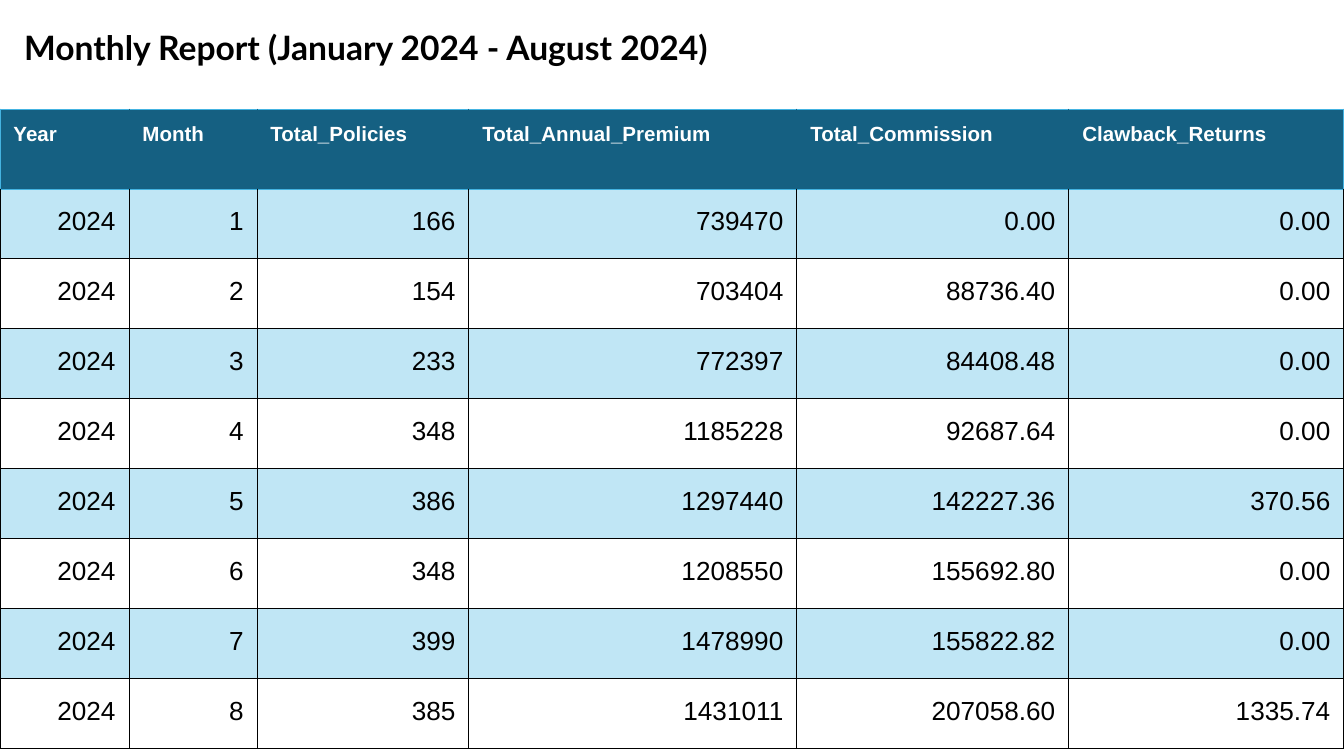
"""Build the monthly report slide with its title and table."""
from lxml import etree
from pptx import Presentation
from pptx import util as u
from pptx.dml.color import RGBColor
from pptx.enum import text
from pptx.oxml.ns import qn

PX = 914400 / 134.4
COLORS = {"header": "156082", "header_line": "44B3E1", "band": "C0E6F5",
          "white": "FFFFFF", "black": "000000"}
MARGIN = round(13.44 * PX)


def write_text(frame, words, *, size, font="Arial", color="black", bold=False,
               align=text.PP_ALIGN.LEFT, spacing=1.0):
    frame.word_wrap = True
    paragraph = frame.paragraphs[0]
    paragraph.alignment = align
    paragraph.line_spacing = spacing
    run = paragraph.add_run()
    run.text = words
    run.font.size = u.Pt(size)
    run.font.name = font
    run.font.bold = bold
    run.font.color.rgb = RGBColor.from_string(COLORS[color])


def set_borders(cell, **sides):
    properties = cell._tc.get_or_add_tcPr()
    for side in "LRTB":
        line = etree.SubElement(properties, qn(f"a:ln{side}"), w=str(u.Pt(0.5)))
        fill = etree.SubElement(line, qn("a:solidFill"))
        etree.SubElement(fill, qn("a:srgbClr"), val=COLORS[sides[side]])


presentation = Presentation()
presentation.slide_width = round(1344 * PX)
presentation.slide_height = round(756 * PX)
slide = presentation.slides.add_slide(presentation.slide_layouts[6])

headers = ["Year", "Month", "Total_Policies", "Total_Annual_Premium",
           "Total_Commission", "Clawback_Returns"]
months = [
    ("166", "739470", "0.00", "0.00"),
    ("154", "703404", "88736.40", "0.00"),
    ("233", "772397", "84408.48", "0.00"),
    ("348", "1185228", "92687.64", "0.00"),
    ("386", "1297440", "142227.36", "370.56"),
    ("348", "1208550", "155692.80", "0.00"),
    ("399", "1478990", "155822.82", "0.00"),
    ("385", "1431011", "207058.60", "1335.74"),
]
rows = [headers] + [("2024", str(number), *values)
                    for number, values in enumerate(months, 1)]
column_widths = [129, 128, 212, 328, 272, 275]
row_heights = [80] + [70] * len(months)

table = slide.shapes.add_table(
    len(rows), len(headers), 0, round(109 * PX),
    round(sum(column_widths) * PX), round(sum(row_heights) * PX)).table
table.horz_banding = False
for column, width in zip(table.columns, column_widths):
    column.width = round(width * PX)
for row, height in zip(table.rows, row_heights):
    row.height = round(height * PX)

last = len(headers) - 1
for row_index, row in enumerate(rows):
    for column_index, words in enumerate(row):
        cell = table.cell(row_index, column_index)
        cell.margin_left = cell.margin_right = MARGIN
        cell.margin_top = cell.margin_bottom = MARGIN
        if row_index == 0:
            set_borders(cell, L="header" if column_index else "header_line",
                        R="header" if column_index < last else "header_line",
                        T="header_line", B="header_line")
            fill = "header"
            write_text(cell.text_frame, words, size=11, color="white", bold=True)
        else:
            set_borders(cell, L="black", R="black", B="black",
                        T="header_line" if row_index == 1 else "black")
            fill = "band" if row_index % 2 else "white"
            write_text(cell.text_frame, words, size=14,
                       align=text.PP_ALIGN.RIGHT, spacing=1.15)
        cell.fill.solid()
        cell.fill.fore_color.rgb = RGBColor.from_string(COLORS[fill])

title = slide.shapes.add_textbox(*(round(n * PX) for n in (11, 13, 761, 87)))
frame = title.text_frame
frame.margin_left = frame.margin_right = MARGIN
frame.margin_top = frame.margin_bottom = MARGIN
write_text(frame, "Monthly Report (January 2024 - August 2024)",
           size=18, font="Lato", bold=True)

presentation.save("out.pptx")
